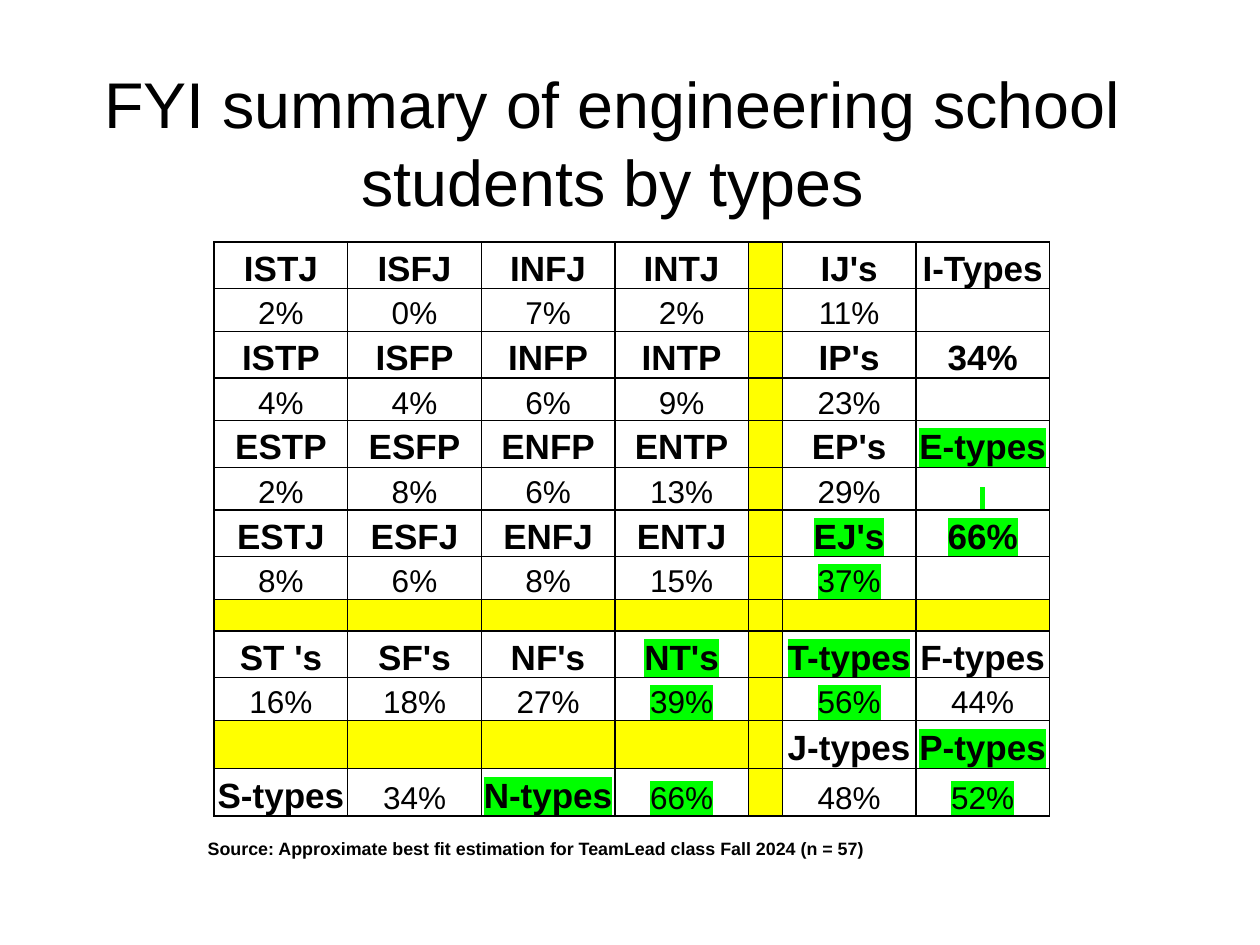
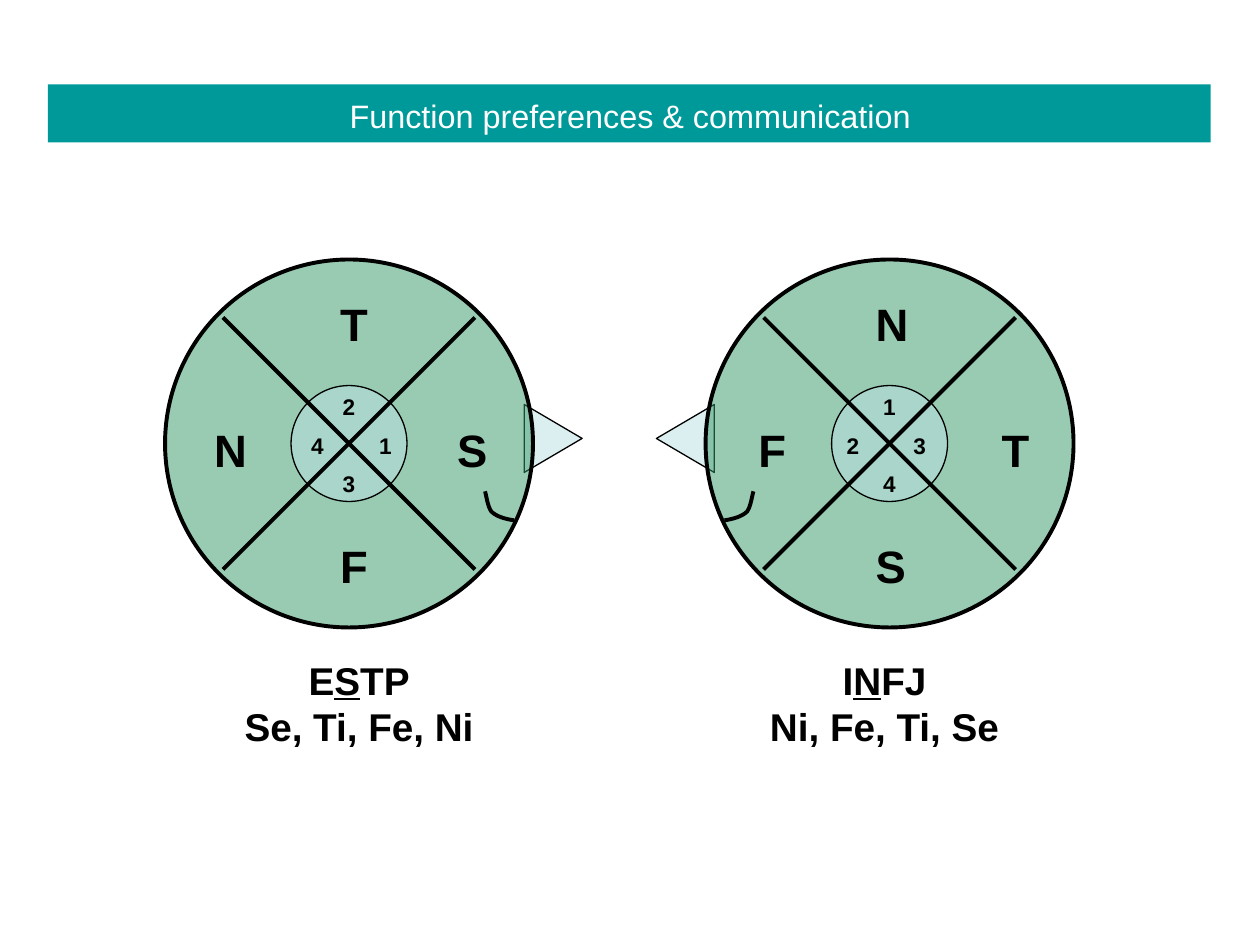
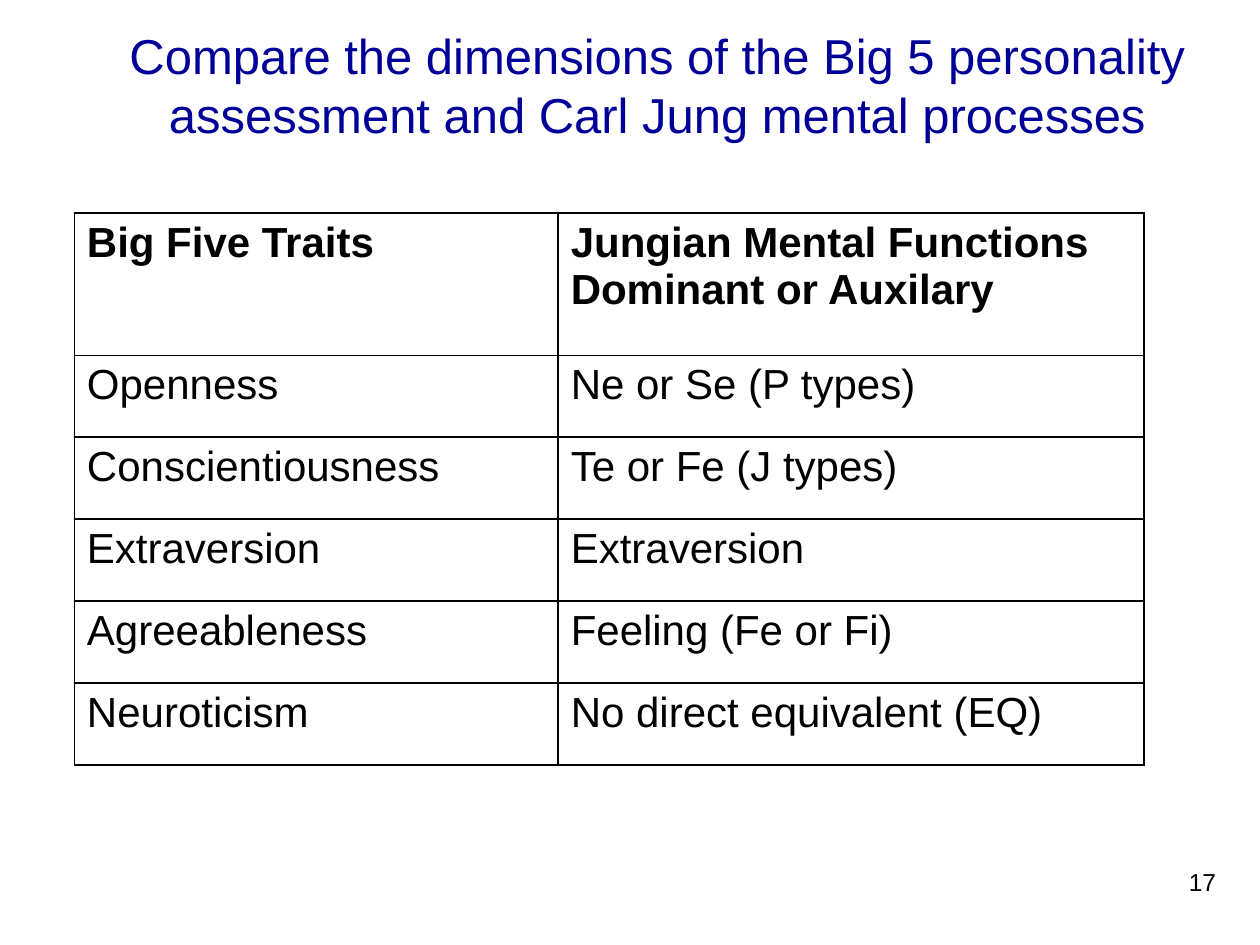
from lxml import etree
from pptx import Presentation
from pptx.dml.color import RGBColor
from pptx.enum.shapes import MSO_CONNECTOR as CONNECTOR, MSO_SHAPE as SHAPE
from pptx.enum.text import MSO_ANCHOR as ANCHOR, PP_ALIGN as ALIGN
from pptx.oxml.ns import qn
from pptx.util import Inches, Pt

FONT = "Arial"
BLACK, WHITE, NAVY = "000000", "FFFFFF", "000099"
TEAL, SKY, SAGE = "009999", "BBE0E3", "339966"
YELLOW, GREEN = "FFFF00", "00FF00"

# "#" is a yellow divider cell, a leading "*" highlights the text
TYPE_ROWS = [
    ["ISTJ", "ISFJ", "INFJ", "INTJ", "#", "IJ's", "I-Types"],
    ["2%", "0%", "7%", "2%", "#", "11%", ""],
    ["ISTP", "ISFP", "INFP", "INTP", "#", "IP's", "34%"],
    ["4%", "4%", "6%", "9%", "#", "23%", ""],
    ["ESTP", "ESFP", "ENFP", "ENTP", "#", "EP's", "*E-types"],
    ["2%", "8%", "6%", "13%", "#", "29%", "* "],
    ["ESTJ", "ESFJ", "ENFJ", "ENTJ", "#", "*EJ's", "*66%"],
    ["8%", "6%", "8%", "15%", "#", "*37%", ""],
    ["#"] * 7,
    ["ST 's", "SF's", "NF's", "*NT's", "#", "*T-types", "F-types"],
    ["16%", "18%", "27%", "*39%", "#", "*56%", "44%"],
    ["#", "#", "#", "#", "#", "J-types", "*P-types"],
    ["S-types", "34%", "*N-types", "*66%", "#", "48%", "*52%"],
]
BOLD_SHARE_ROWS = (2, 6)

TRAIT_ROWS = [
    ["Big Five Traits", "Jungian Mental Functions Dominant or Auxilary"],
    ["Openness", "Ne or Se (P types)"],
    ["Conscientiousness", "Te or Fe (J types)"],
    ["Extraversion", "Extraversion"],
    ["Agreeableness", "Feeling (Fe or Fi)"],
    ["Neuroticism", "No direct equivalent (EQ)"],
]


# Shared helpers
def rgb(color):
    return RGBColor.from_string(color)


def inches(*lengths):
    return [Inches(length) for length in lengths]


def add_span(para, text, size, color=BLACK, bold=False, underline=False,
             highlight=None):
    span = para.add_run()
    span.text = text
    font = span.font
    font.size, font.bold, font.name = Pt(size), bold, FONT
    font.color.rgb = rgb(color)
    if underline:
        font.underline = True
    if highlight:
        mark = etree.Element(qn("a:highlight"))
        etree.SubElement(mark, qn("a:srgbClr"), val=highlight)
        span.font._element.find(qn("a:solidFill")).addnext(mark)


def add_text(page, text, box, size, align=ALIGN.LEFT, anchor=ANCHOR.TOP,
             wrap=True, **style):
    """Place one line of text, or a list of lines; "_" toggles underline."""
    frame = page.shapes.add_textbox(*inches(*box)).text_frame
    frame.word_wrap, frame.vertical_anchor = wrap, anchor
    lines = [text] if isinstance(text, str) else text
    for number, line in enumerate(lines):
        para = frame.add_paragraph() if number else frame.paragraphs[0]
        para.alignment = align
        for part, words in enumerate(line.split("_")):
            add_span(para, words, size, underline=part % 2 == 1, **style)


def add_title(page, text, box, size, color=BLACK):
    add_text(page, text, box, size, ALIGN.CENTER, ANCHOR.MIDDLE, color=color)


def style_shape(shape, fill=None, alpha=None, line=None):
    shape.shadow.inherit = False
    if fill:
        shape.fill.solid()
        shape.fill.fore_color.rgb = rgb(fill)
    else:
        shape.fill.background()
    if alpha:
        tint = shape._element.spPr.find(qn("a:solidFill"))[0]
        etree.SubElement(tint, qn("a:alpha"), val=str(alpha * 1000))
    if line:
        shape.line.color.rgb = rgb(BLACK)
        shape.line.width = Pt(line)
    else:
        shape.line.fill.background()


def add_figure(page, kind, box, **style):
    shape = page.shapes.add_shape(kind, *inches(*box))
    style_shape(shape, **style)
    return shape


def add_line(page, start, end, width):
    line = page.shapes.add_connector(CONNECTOR.STRAIGHT,
                                     *inches(*start, *end))
    line.line.color.rgb = rgb(BLACK)
    line.line.width = Pt(width)
    etree.SubElement(line._element.spPr, qn("a:effectLst"))


def add_grid(page, left, top, widths, heights):
    """Add an unfilled table with thin black borders."""
    table = page.shapes.add_table(
        len(heights), len(widths),
        *inches(left, top, sum(widths), sum(heights))).table
    table.first_row = table.horz_banding = False
    for column, width in zip(table.columns, widths):
        column.width = Inches(width)
    for row, height in zip(table.rows, heights):
        row.height = Inches(height)
    for cell in table.iter_cells():
        properties = cell._tc.get_or_add_tcPr()
        for side in ("lnL", "lnR", "lnT", "lnB"):
            border = etree.SubElement(properties, qn("a:" + side), w="12700")
            fill = etree.SubElement(border, qn("a:solidFill"))
            etree.SubElement(fill, qn("a:srgbClr"), val=BLACK)
        cell.fill.background()
    return table


# Slide 1: share of students by type
def fill_type_cell(cell, mark, bold_share):
    cell.margin_left, cell.margin_right, cell.margin_top = inches(*[0.01] * 3)
    cell.margin_bottom = 0
    cell.vertical_anchor = ANCHOR.BOTTOM
    para = cell.text_frame.paragraphs[0]
    para.alignment = ALIGN.CENTER
    if mark == "#":
        cell.fill.solid()
        cell.fill.fore_color.rgb = rgb(YELLOW)
    text = mark.strip("*#")
    if not text:
        para._p.get_or_add_endParaRPr().set("sz", "1000")
        return
    bold = bold_share or not text.endswith("%")
    size = 12 if text == " " else 20 if bold else 18
    add_span(para, text, size, bold=bold,
             highlight=GREEN if mark.startswith("*") else None)


def build_types(page):
    add_title(page, "FYI summary of engineering school students by types",
              (0.17, 0.55, 9.39, 1.15), 36.9)
    add_text(page, "Source: Approximate best fit estimation for TeamLead "
             "class Fall 2024 (n = 57)", (1.55, 6.6, 5.44, 0.27), 10.2,
             wrap=False, bold=True)
    widths = [1.06] * 4 + [0.27] + [1.06] * 2
    heights = [0.37, 0.34] * 4 + [0.25, 0.37, 0.34, 0.38, 0.38]
    table = add_grid(page, 1.7, 1.92, widths, heights)
    for row, marks in enumerate(TYPE_ROWS):
        for column, mark in enumerate(marks):
            bold_share = row in BOLD_SHARE_ROWS and column == 6
            fill_type_cell(table.cell(row, column), mark, bold_share)


# Slide 2: two heads facing each other
def bezier(start, first, second, end, steps=8):
    for step in range(1, steps + 1):
        t = step / steps
        weights = ((1 - t) ** 3, 3 * t * (1 - t) ** 2, 3 * t * t * (1 - t),
                   t ** 3)
        yield tuple(sum(weight * point[axis] for weight, point in
                        zip(weights, (start, first, second, end)))
                    for axis in (0, 1))


def add_mouth(page, x, y, facing):
    edge, bend, tip = (1.31, 0.61), (1.13, 0.54), (1.08, 0.38)
    curve = [edge, *bezier(edge, (1.24, 0.6), (1.17, 0.58), bend),
             *bezier(bend, (1.1, 0.5), (1.09, 0.41), tip)]
    points = [inches(x + facing * dx, y + dy) for dx, dy in curve]
    builder = page.shapes.build_freeform(*points[0])
    builder.add_line_segments(points[1:], close=False)
    style_shape(builder.convert_to_shape(), line=2.25)


def add_head(page, x, y, facing, letters, ranks, letter_columns,
             rank_columns):
    """Draw a head centred on x, y; labels run top, left, right, bottom."""
    nose = add_figure(page, SHAPE.ISOSCELES_TRIANGLE,
                      (x + facing * 1.62 - 0.27, y - 0.27, 0.54, 0.46),
                      fill=SKY, alpha=50, line=0.75)
    nose.rotation = 90 if facing > 0 else 270
    for radius, color, width in ((1.46, SAGE, 2.25), (0.46, SKY, 0.75)):
        add_figure(page, SHAPE.OVAL,
                   (x - radius, y - radius, 2 * radius, 2 * radius),
                   fill=color, alpha=50, line=width)
    add_mouth(page, x, y, facing)
    for slope in (1, -1):
        add_line(page, (x - 1, y - slope), (x + 1, y + slope), 2.25)
    # Function letters and their ranks
    for labels, (left, middle, right), (top, centre, bottom), size, height in (
            (letters, letter_columns, (-1.22, -0.22, 0.7), 25.9, 0.54),
            (ranks, rank_columns, (-0.45, -0.14, 0.16), 12.9, 0.32)):
        spots = ((middle, top), (left, centre), (right, centre),
                 (middle, bottom))
        for label, (dx, dy) in zip(labels, spots):
            add_text(page, label, (x + dx, y + dy, 0.38, height), size,
                     bold=True)


def build_heads(page):
    add_head(page, 2.77, 3.52, 1, "TNSF", "2413",
             (-1.17, -0.17, 0.76), (-0.4, -0.15, 0.14))
    add_head(page, 7.06, 3.52, -1, "NFTS", "1234",
             (-1.14, -0.21, 0.79), (-0.44, -0.15, 0.09))
    for left, caption in ((1.83, ["E_S_TP", "Se, Ti, Fe, Ni"]),
                          (6, ["I_N_FJ", "Ni, Fe, Ti, Se"])):
        add_text(page, caption, (left, 5.16, 2.04, 0.85), 22.1, ALIGN.CENTER,
                 wrap=False, bold=True)
    add_figure(page, SHAPE.RECTANGLE, (0.38, 0.67, 9.23, 0.46), fill=TEAL)
    add_title(page, "Function preferences & communication",
              (0.5, 0.6, 9, 0.63), 18.5, WHITE)


# Slide 3: Big Five compared with Jung
def build_traits(page):
    add_title(page, "Compare the dimensions of the Big 5 personality "
              "assessment and Carl Jung mental processes",
              (0.59, 0.13, 9.25, 1.08), 28, NAVY)
    add_text(page, "17", (7.42, 6.83, 2.33, 0.52), 14, ALIGN.RIGHT)
    table = add_grid(page, 0.59, 1.69, [3.84, 4.65], [1.13] + [0.65] * 5)
    for row, texts in enumerate(TRAIT_ROWS):
        for column, text in enumerate(texts):
            para = table.cell(row, column).text_frame.paragraphs[0]
            add_span(para, text, 24, bold=row == 0)


def main():
    deck = Presentation()
    deck.slide_width, deck.slide_height = inches(10, 7.5)
    for build in (build_types, build_heads, build_traits):
        build(deck.slides.add_slide(deck.slide_layouts[6]))
    deck.save("out.pptx")


if __name__ == "__main__":
    main()
